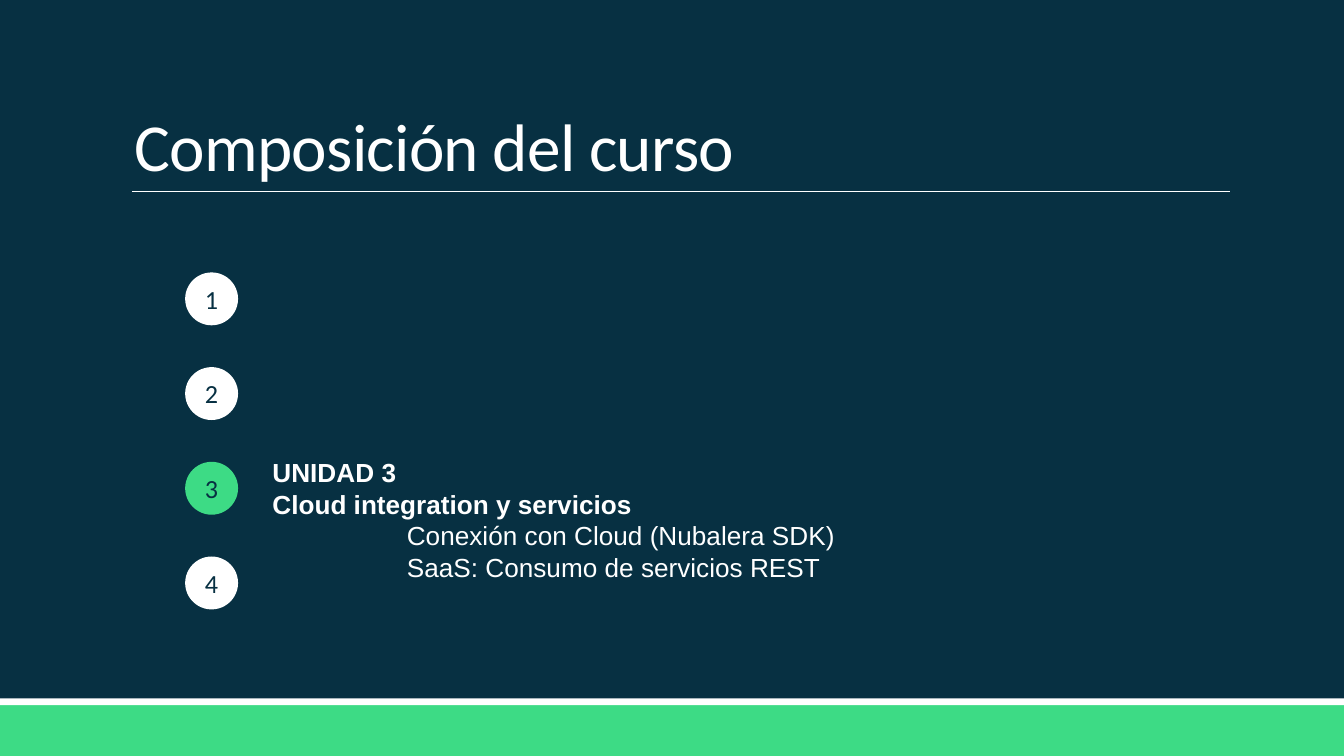
from pptx import Presentation
from pptx.dml.color import RGBColor
from pptx.enum.shapes import MSO_CONNECTOR as Connector, MSO_SHAPE as Shape
from pptx.enum.text import MSO_ANCHOR as Anchor, PP_ALIGN as Align
from pptx.oxml.ns import qn
from pptx.util import Cm, Pt

NAVY = RGBColor(0x07, 0x30, 0x42)
GREEN = RGBColor(0x3D, 0xDB, 0x85)
WHITE = RGBColor(0xFF, 0xFF, 0xFF)


def write_text(paragraph, text, font="Calibri", size=14, color=WHITE, bold=False,
               align=Align.LEFT, line=None, indent=0, tracking=None):
    paragraph.alignment = align
    if line:
        paragraph.line_spacing = line
    if indent:
        properties = paragraph._p.get_or_add_pPr()
        properties.set("marL", str(Cm(indent)))
        properties.set("indent", "0")
    run = paragraph.add_run()
    run.text = text
    run.font.name = font
    run.font.size = Pt(size)
    run.font.bold = bold
    run.font.color.rgb = color
    if tracking is not None:
        run._r.get_or_add_rPr().set("spc", str(tracking))


class CourseSlide:
    def __init__(self, deck):
        self.slide = deck.slides.add_slide(deck.slide_layouts[5])
        background = self.slide.background.fill
        background.solid()
        background.fore_color.rgb = NAVY

    def title(self, text, left, top, width, height):
        heading = self.slide.shapes.title
        heading.left, heading.top = Cm(left), Cm(top)
        heading.width, heading.height = Cm(width), Cm(height)
        frame = heading.text_frame
        frame.word_wrap = True
        frame.vertical_anchor = Anchor.BOTTOM
        write_text(frame.paragraphs[0], text, size=36, line=0.85, tracking=-40)

    def filled(self, kind, left, top, width, height, color):
        shape = self.slide.shapes.add_shape(
            kind, Cm(left), Cm(top), Cm(width), Cm(height))
        shape.shadow.inherit = False
        shape.fill.solid()
        shape.fill.fore_color.rgb = color
        shape.line.fill.background()
        return shape

    def rule(self, left, right, top):
        line = self.slide.shapes.add_connector(
            Connector.STRAIGHT, Cm(left), Cm(top), Cm(right), Cm(top))
        line.line.color.rgb = WHITE
        line.line.width = Pt(0.5)
        properties = line._element.spPr
        properties.append(properties.makeelement(qn("a:effectLst"), {}))

    def badge(self, number, left, top, size, color):
        frame = self.filled(Shape.OVAL, left, top, size, size, color).text_frame
        frame.margin_left = frame.margin_right = 0
        frame.margin_top = frame.margin_bottom = 0
        frame.vertical_anchor = Anchor.MIDDLE
        write_text(frame.paragraphs[0], str(number), color=NAVY, align=Align.CENTER)

    def unit(self, headings, topics, left, top, width, height):
        frame = self.slide.shapes.add_textbox(
            Cm(left), Cm(top), Cm(width), Cm(height)).text_frame
        frame.word_wrap = True
        entries = [(text, True, 0) for text in headings]
        entries += [(text, False, 2.54) for text in topics]
        for index, (text, bold, indent) in enumerate(entries):
            paragraph = frame.add_paragraph() if index else frame.paragraphs[0]
            write_text(paragraph, text, font="Arial", bold=bold,
                       indent=indent, line=Pt(16.8))


def main():
    deck = Presentation()
    deck.slide_width, deck.slide_height = Cm(25.4), Cm(14.29)

    course = CourseSlide(deck)
    course.filled(Shape.RECTANGLE, 0, 13.33, 25.4, 0.96, GREEN)
    course.filled(Shape.RECTANGLE, 0, 13.2, 25.4, 0.13, WHITE)
    course.rule(2.49, 23.24, 3.62)
    course.title("Composición del curso", 2.29, 0.61, 20.95, 3.02)

    current_unit = 3
    for number in range(1, 5):
        course.badge(number, 3.5, 5.15 + 1.79 * (number - 1), 1,
                     GREEN if number == current_unit else WHITE)

    course.unit(
        ["UNIDAD 3", "Cloud integration y servicios"],
        ["Conexión con Cloud (Nubalera SDK)", "SaaS: Consumo de servicios REST"],
        4.9, 8.51, 12.6, 2.71)

    deck.save("out.pptx")


if __name__ == "__main__":
    main()
